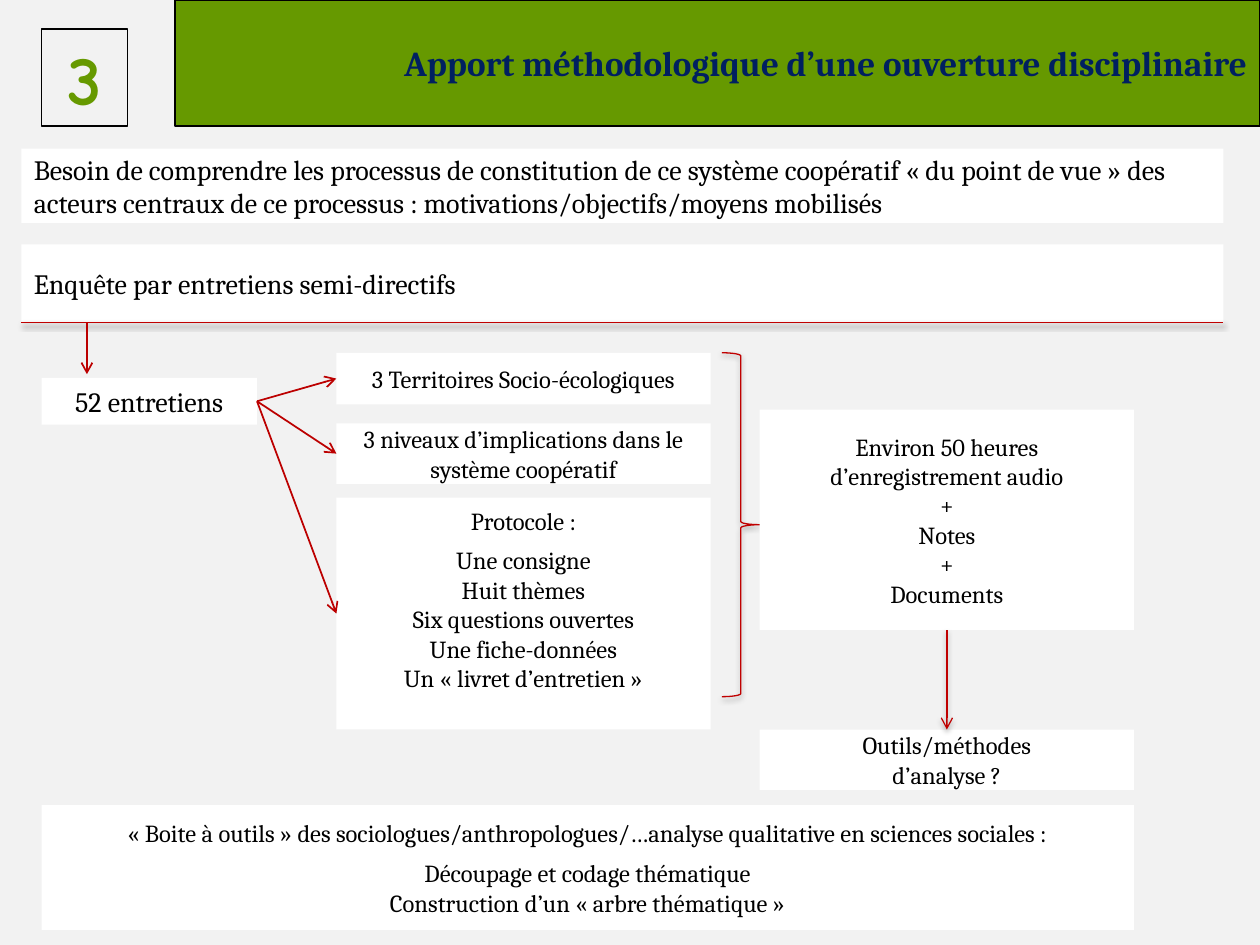
"""Build the slide on the methodological contribution of interviews."""
import dataclasses

import lxml.etree
import pptx
import pptx.dml.color
import pptx.enum.shapes
import pptx.enum.text
import pptx.oxml.ns
import pptx.util

Inches = pptx.util.Inches
Pt = pptx.util.Pt
RGB = pptx.dml.color.RGBColor.from_string
Align = pptx.enum.text.PP_ALIGN
Anchor = pptx.enum.text.MSO_ANCHOR
Shape = pptx.enum.shapes.MSO_SHAPE
qn = pptx.oxml.ns.qn


@dataclasses.dataclass(frozen=True)
class Theme:
    """Colours, fonts and type sizes of the slide."""
    background: str = "F2F2F2"
    panel: str = "FFFFFF"
    text: str = "000000"
    green: str = "669900"
    navy: str = "002060"
    red: str = "C00000"
    arrow: str = "BC0000"
    font: str = "Cambria"
    number_font: str = "Comic Neue"
    number: int = 40
    title: int = 20
    lead: int = 16
    body: int = 14


class SlideBuilder:
    """Holds the theme and the current slide."""

    def __init__(self, slide, theme):
        """Keep the slide and paint its background."""
        self.slide = slide
        self.theme = theme
        fill = slide.background.fill
        fill.solid()
        fill.fore_color.rgb = RGB(theme.background)

    def shape(self, kind, at, fill=None, line=None, width=0.75):
        """Add a preset shape without a shadow."""
        sp = self.slide.shapes.add_shape(kind, *map(Inches, at))
        sp.shadow.inherit = False
        if fill:
            sp.fill.solid()
            sp.fill.fore_color.rgb = RGB(fill)
        else:
            sp.fill.background()
        if line:
            sp.line.color.rgb = RGB(line)
            sp.line.width = Pt(width)
        else:
            sp.line.fill.background()
        return sp

    def text(self, sp, lines, size, align=Align.CENTER, color=None,
             font=None, bold=False, anchor=Anchor.MIDDLE, gaps=()):
        """Set one paragraph per line, with space before those in gaps."""
        tf = sp.text_frame
        tf.word_wrap = True
        tf.vertical_anchor = anchor
        for i, line in enumerate(lines):
            p = tf.add_paragraph() if i else tf.paragraphs[0]
            p.alignment = align
            if i in gaps:
                p.space_before = Pt(6)
            r = p.add_run()
            r.text = line
            r.font.size = Pt(size)
            r.font.name = font or self.theme.font
            r.font.bold = bold
            r.font.color.rgb = RGB(color or self.theme.text)
        return sp

    def panel(self, at, lines, size=None, **style):
        """Add a white box with text."""
        sp = self.shape(Shape.RECTANGLE, at, self.theme.panel)
        return self.text(sp, lines, size or self.theme.body, **style)

    def brace(self, at):
        """Add a red right brace with a soft shadow."""
        sp = self.shape(Shape.RIGHT_BRACE, at, line=self.theme.red)
        self.soft_shadow(sp)

    def line(self, start, end, color, width, arrow=True, shadow=False):
        """Add a line between points or (shape, side) joins."""
        ends = [(0, 0) if not isinstance(e[0], (int, float)) else e
                for e in (start, end)]
        cx = self.slide.shapes.add_connector(
            pptx.enum.shapes.MSO_CONNECTOR.STRAIGHT,
            *[Inches(v) for point in ends for v in point])
        if ends[0] is not start:
            cx.begin_connect(*start)
        if ends[1] is not end:
            cx.end_connect(*end)
        cx.line.color.rgb = RGB(color)
        cx.line.width = Pt(width)
        if arrow:
            ln = cx._element.spPr.find(qn("a:ln"))
            lxml.etree.SubElement(ln, qn("a:tailEnd"), type="arrow")
        lxml.etree.SubElement(cx._element.spPr, qn("a:effectLst"))
        if shadow:
            self.soft_shadow(cx)
        return cx

    def soft_shadow(self, sp):
        """Fill the effect list with a soft shadow below."""
        effects = sp._element.spPr.find(qn("a:effectLst"))
        outer = lxml.etree.SubElement(
            effects, qn("a:outerShdw"), blurRad=str(int(Pt(3.1))),
            dist=str(int(Pt(1.6))), dir="5400000", rotWithShape="0")
        color = lxml.etree.SubElement(outer, qn("a:srgbClr"), val=self.theme.text)
        lxml.etree.SubElement(color, qn("a:alpha"), val="38000")


def main():
    """Build and save the slide."""
    prs = pptx.Presentation()
    prs.slide_width, prs.slide_height = Inches(10), Inches(7.5)
    theme = Theme()
    s = SlideBuilder(prs.slides.add_slide(prs.slide_layouts[6]), theme)

    title = s.shape(Shape.RECTANGLE, (1.39, 0, 8.61, 1), theme.green, theme.text, 1.5)
    s.text(title, ["Apport méthodologique d’une ouverture disciplinaire"],
           theme.title, Align.RIGHT, theme.navy, bold=True)
    number = s.shape(Shape.RECTANGLE, (0.33, 0.23, 0.68, 0.77), line=theme.text)
    s.text(number, ["3"], theme.number, color=theme.green,
           font=theme.number_font, bold=True, anchor=Anchor.TOP)

    left, width = 0.17, 9.54
    s.panel((left, 1.18, width, 0.59),
            ["Besoin de comprendre les processus de constitution de ce système "
             "coopératif « du point de vue » des acteurs centraux de ce processus : "
             "motivations/objectifs/moyens mobilisés"], theme.lead, align=Align.LEFT)
    s.panel((left, 1.94, width, 0.62), ["Enquête par entretiens semi-directifs"],
            theme.lead, align=Align.LEFT)
    s.line((left, 2.56), (left + width, 2.56), theme.red, 0.75,
           arrow=False, shadow=True)
    s.line((0.69, 2.56), (0.69, 2.97), theme.arrow, 1)

    interviews = s.panel((0.33, 3, 1.71, 0.37), ["52 entretiens"], theme.lead)
    column = 2.97
    details = [
        (2.8, 0.41, ["3 Territoires Socio-écologiques"]),
        (3.36, 0.48, ["3 niveaux d’implications dans le système coopératif"]),
        (3.95, 1.84, ["Protocole :", "Une consigne", "Huit thèmes",
                      "Six questions ouvertes", "Une fiche-données",
                      "Un « livret d’entretien »"]),
    ]
    for top, height, lines in details:
        box = s.panel((2.67, top, column, height), lines, gaps=(1,))
        s.line((interviews, 3), (box, 1), theme.arrow, 1)
    box.text_frame.margin_bottom = Inches(0.28)

    s.brace((5.73, 2.8, 0.3, 2.73))
    material = s.panel((6.03, 3.25, column, 1.75),
                       ["Environ 50 heures d’enregistrement audio", "+", "Notes",
                        "+", "Documents"])
    tools = s.panel((6.03, 5.79, column, 0.48), ["Outils/méthodes", "d’analyse ?"])
    s.line((material, 2), (tools, 0), theme.red, 0.75, shadow=True)
    s.panel((0.33, 6.39, 8.67, 0.99),
            ["« Boite à outils » des sociologues/anthropologues/…analyse "
             "qualitative en sciences sociales :",
             "Découpage et codage thématique",
             "Construction d’un « arbre thématique »"], gaps=(1,))
    prs.save("out.pptx")


if __name__ == "__main__":
    main()
